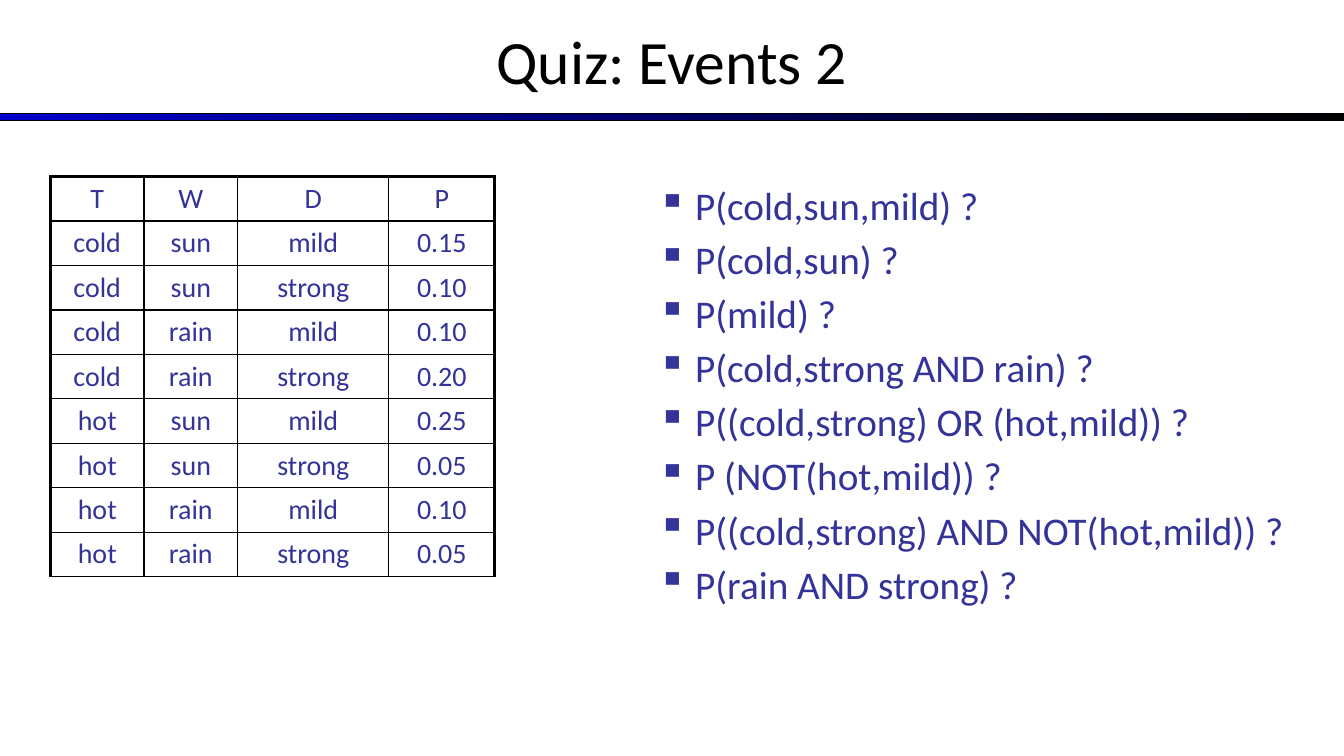
"""Build the quiz slide on events: a joint probability table beside its questions."""
from lxml.etree import SubElement
from pptx import Presentation
from pptx.dml.color import RGBColor
from pptx.enum.shapes import MSO_SHAPE
from pptx.enum.text import MSO_ANCHOR, PP_ALIGN
from pptx.oxml.ns import qn
from pptx.util import Cm, Pt

TITLE = "Quiz: Events 2"
DISTRIBUTION = [
    ("T", "W", "D", "P"),
    ("cold", "sun", "mild", "0.15"),
    ("cold", "sun", "strong", "0.10"),
    ("cold", "rain", "mild", "0.10"),
    ("cold", "rain", "strong", "0.20"),
    ("hot", "sun", "mild", "0.25"),
    ("hot", "sun", "strong", "0.05"),
    ("hot", "rain", "mild", "0.10"),
    ("hot", "rain", "strong", "0.05"),
]
QUESTIONS = [
    "P(cold,sun,mild) ?",
    "P(cold,sun) ?",
    "P(mild) ?",
    "P(cold,strong AND rain) ?",
    "P((cold,strong) OR (hot,mild)) ?",
    "P (NOT(hot,mild)) ?",
    "P((cold,strong) AND NOT(hot,mild)) ?",
    "P(rain AND strong) ?",
]
BLACK, BLUE, INDIGO = "000000", "0000CC", "333399"
SLIDE_WIDTH, SLIDE_HEIGHT = 33.87, 19.05
COLUMN_WIDTHS = (2.36, 2.36, 3.81, 2.67)
ROW_HEIGHT = 1.12
CONTENT_TOP = 4.45
THIN, THICK = 1, 2.25


def rgb(value):
    return RGBColor.from_string(value)


def style(paragraph, size, color):
    paragraph.font.name = "Calibri"
    paragraph.font.size = Pt(size)
    paragraph.font.color.rgb = rgb(color)


def add_text_frame(slide, left, top, width, height):
    frame = slide.shapes.add_textbox(Cm(left), Cm(top), Cm(width), Cm(height)).text_frame
    frame.word_wrap = True
    return frame


def set_borders(cell, widths):
    properties = cell._tc.get_or_add_tcPr()
    for position, (side, width) in enumerate(widths.items()):
        line = SubElement(properties, qn(f"a:ln{side}"), w=str(Pt(width)))
        SubElement(SubElement(line, qn("a:solidFill")), qn("a:srgbClr"), val=BLACK)
        properties.insert(position, line)


def add_bullet(paragraph):
    properties = paragraph._p.get_or_add_pPr()
    properties.set("marL", str(Cm(0.94)))
    properties.set("indent", str(-Cm(0.94)))
    SubElement(SubElement(properties, qn("a:buClr")), qn("a:srgbClr"), val=INDIGO)
    SubElement(properties, qn("a:buChar"), char="▪")


def add_heading(slide):
    rule = slide.shapes.add_shape(
        MSO_SHAPE.RECTANGLE, Cm(0), Cm(2.87), Cm(SLIDE_WIDTH), Cm(0.18))
    rule.shadow.inherit = False
    rule.fill.gradient()
    rule.fill.gradient_angle = 0
    for stop, position, color in zip(rule.fill.gradient_stops, (0, 1), (BLUE, BLACK)):
        stop.position = position
        stop.color.rgb = rgb(color)
    rule.line.color.rgb = rgb(BLACK)
    rule.line.width = Pt(0.75)

    frame = add_text_frame(slide, 0, -0.08, SLIDE_WIDTH, 3.18)
    frame.vertical_anchor = MSO_ANCHOR.MIDDLE
    heading = frame.paragraphs[0]
    heading.text = TITLE
    heading.alignment = PP_ALIGN.CENTER
    style(heading, 44, BLACK)


def add_distribution(slide):
    row_count, last = len(DISTRIBUTION), len(COLUMN_WIDTHS) - 1
    table = slide.shapes.add_table(
        row_count, len(COLUMN_WIDTHS), Cm(1.27), Cm(CONTENT_TOP),
        Cm(sum(COLUMN_WIDTHS)), Cm(ROW_HEIGHT * row_count)).table
    table.first_row = table.horz_banding = False
    for column, width in zip(table.columns, COLUMN_WIDTHS):
        column.width = Cm(width)
    for r, values in enumerate(DISTRIBUTION):
        table.rows[r].height = Cm(ROW_HEIGHT)
        for c, value in enumerate(values):
            cell = table.cell(r, c)
            cell.fill.background()
            cell.margin_left = cell.margin_right = Cm(0.3)
            entry = cell.text_frame.paragraphs[0]
            entry.text = value
            entry.alignment = PP_ALIGN.CENTER
            style(entry, 20, INDIGO)
            set_borders(cell, {
                "L": THICK if c == 0 else THIN,
                "R": THICK if c == last else THIN,
                "T": THICK if r == 0 else THIN,
                "B": THIN,
            })


def add_questions(slide):
    frame = add_text_frame(slide, 16.33, CONTENT_TOP, 16.71, 12.57)
    for number, question in enumerate(QUESTIONS):
        paragraph = frame.add_paragraph() if number else frame.paragraphs[0]
        paragraph.text = question
        if number:
            paragraph.space_before = Pt(5)
        add_bullet(paragraph)
        style(paragraph, 28, INDIGO)


def main():
    deck = Presentation()
    deck.slide_width, deck.slide_height = Cm(SLIDE_WIDTH), Cm(SLIDE_HEIGHT)
    slide = deck.slides.add_slide(deck.slide_layouts[6])
    add_heading(slide)
    add_distribution(slide)
    add_questions(slide)
    deck.save("out.pptx")


if __name__ == "__main__":
    main()
